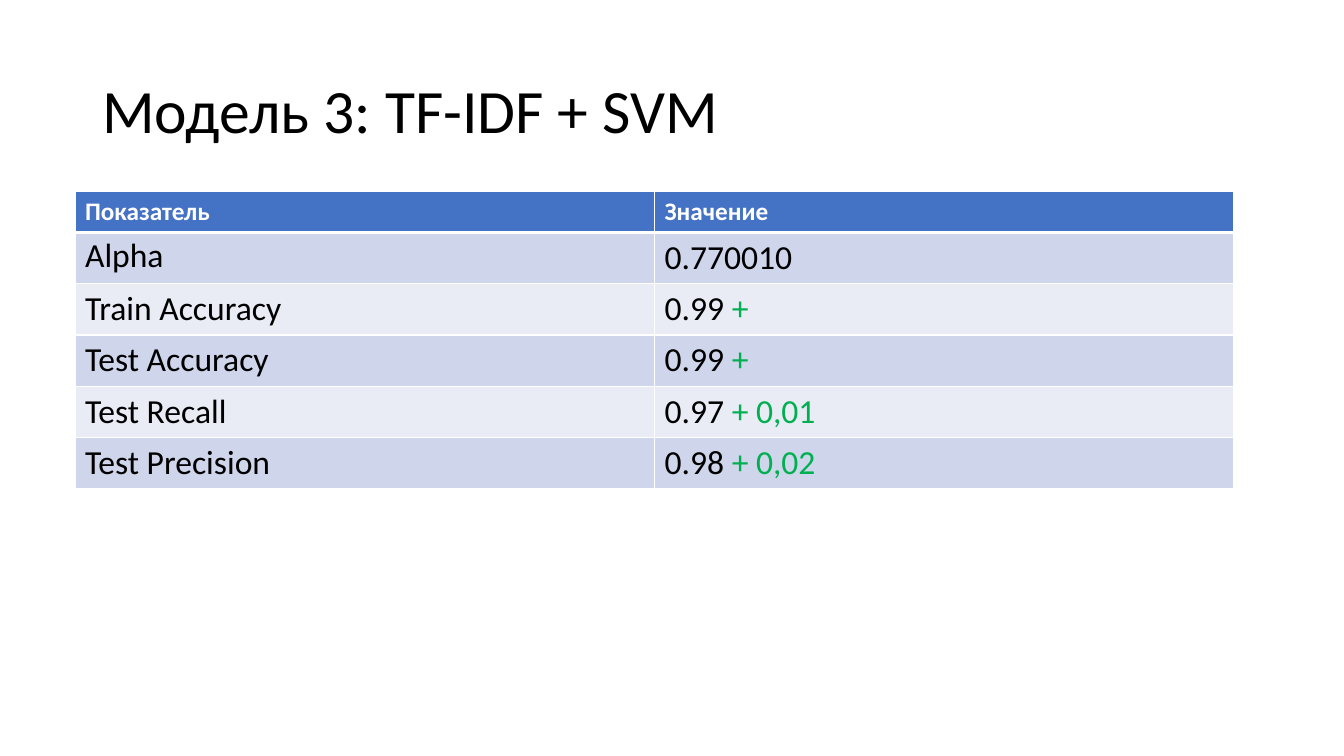
from lxml.etree import SubElement
from pptx import Presentation
from pptx.dml.color import RGBColor
from pptx.enum.text import MSO_ANCHOR
from pptx.oxml.ns import qn
from pptx.util import Cm, Pt

FONT = "Calibri"
BLACK, WHITE, GREEN = "000000", "FFFFFF", "00B050"
HEADER_FILL = "4472C4"
BAND_FILLS = ["CFD5EA", "E9EBF5"]
HEADERS = ["Показатель", "Значение"]
METRICS = [
    ("Alpha", "0.770010", ""),
    ("Train Accuracy", "0.99 ", "+"),
    ("Test Accuracy", "0.99 ", "+"),
    ("Test Recall", "0.97 ", "+ 0,01"),
    ("Test Precision", "0.98 ", "+ 0,02"),
]


def rgb(value):
    return RGBColor.from_string(value)


def add_run(p, text, size, color=BLACK, bold=False):
    r = p.add_run()
    r.text = text
    r.font.name = FONT
    r.font.size = Pt(size)
    r.font.bold = bold
    r.font.color.rgb = rgb(color)


def add_title(s, text):
    sp = s.shapes.add_textbox(Cm(2.33), Cm(1.01), Cm(29.21), Cm(3.68))
    tf = sp.text_frame
    tf.word_wrap = True
    tf.vertical_anchor = MSO_ANCHOR.MIDDLE
    p = tf.paragraphs[0]
    p.line_spacing = 0.9
    add_run(p, text, 44)


def set_borders(cell, top, bottom):
    tc_pr = cell._tc.get_or_add_tcPr()
    for tag, width in (("lnL", 1), ("lnR", 1), ("lnT", top), ("lnB", bottom)):
        ln = SubElement(tc_pr, qn(f"a:{tag}"), w=str(Pt(width)))
        fill = SubElement(ln, qn("a:solidFill"))
        SubElement(fill, qn("a:srgbClr"), val=WHITE)


def fill_cell(cell, fill, top=1, bottom=1):
    set_borders(cell, top, bottom)
    cell.fill.solid()
    cell.fill.fore_color.rgb = rgb(fill)
    return cell.text_frame.paragraphs[0]


def add_metrics_table(s):
    header_height, row_height = Cm(1.03), Cm(1.29)
    height = header_height + row_height * len(METRICS)
    table = s.shapes.add_table(len(METRICS) + 1, len(HEADERS),
                               Cm(1.89), Cm(4.83), Cm(29.21), height).table
    for row in table.rows:
        row.height = row_height
    table.rows[0].height = header_height

    for col, header in enumerate(HEADERS):
        p = fill_cell(table.cell(0, col), HEADER_FILL, bottom=3)
        add_run(p, header, 18, WHITE, bold=True)

    for row, (metric, value, gain) in enumerate(METRICS, start=1):
        fill = BAND_FILLS[(row - 1) % 2]
        top = 3 if row == 1 else 1
        p = fill_cell(table.cell(row, 0), fill, top)
        add_run(p, metric, 24)
        p = fill_cell(table.cell(row, 1), fill, top)
        add_run(p, value, 24)
        if gain:
            add_run(p, gain, 24, GREEN)

    p = table.cell(1, 0).text_frame.paragraphs[0]
    p.line_spacing = 0.9
    p.space_before = Pt(10)


def main():
    prs = Presentation()
    prs.slide_width, prs.slide_height = Cm(33.87), Cm(19.05)
    s = prs.slides.add_slide(prs.slide_layouts[6])
    add_title(s, "Модель 3: TF-IDF + SVM")
    add_metrics_table(s)
    prs.save("out.pptx")


main()
